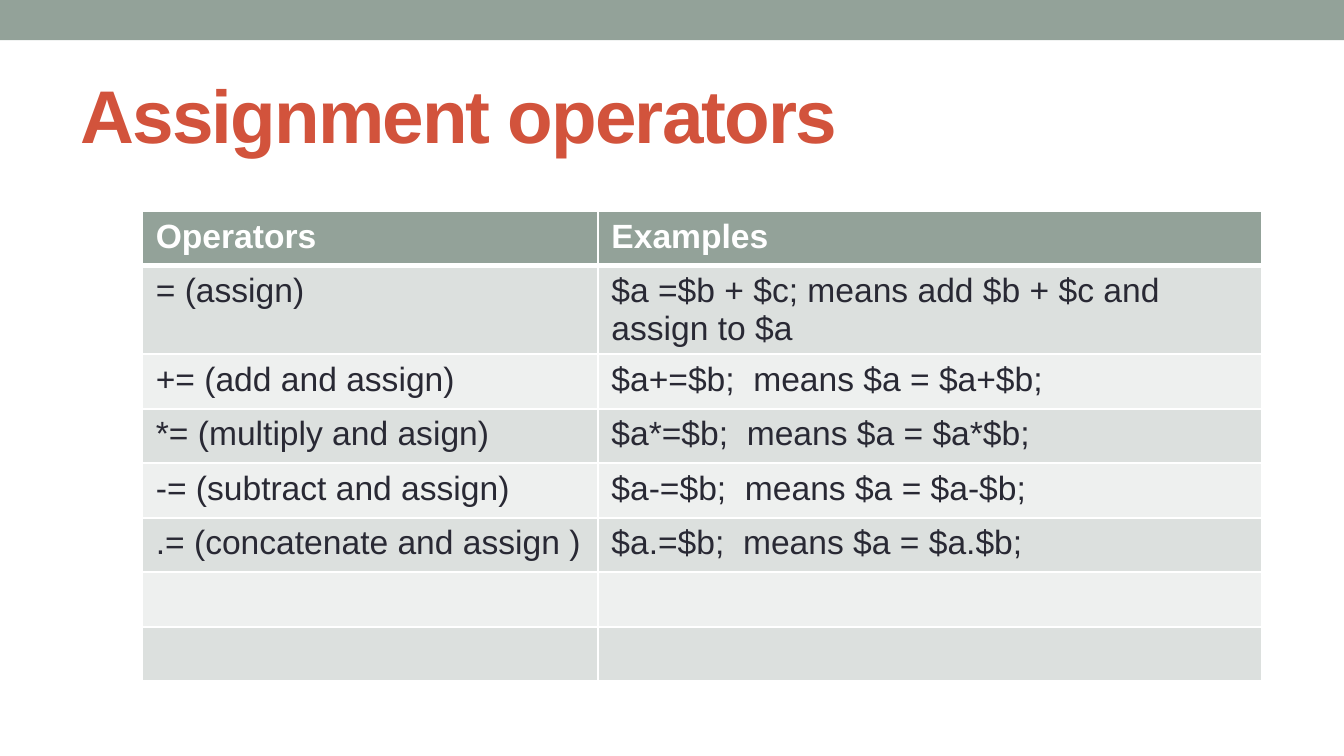
from lxml import etree
from pptx import Presentation
from pptx import util as u
from pptx.dml.color import RGBColor
from pptx.enum import shapes, text
from pptx.oxml.ns import qn

SAGE = RGBColor(0x93, 0xA2, 0x99)
BRICK = RGBColor(0xD2, 0x53, 0x3C)
INK = RGBColor(0x29, 0x29, 0x34)
WHITE = RGBColor(0xFF, 0xFF, 0xFF)
BANDS = [RGBColor(0xEE, 0xF0, 0xEF), RGBColor(0xDC, 0xE0, 0xDE)]

ROWS = [
    ("Operators", "Examples"),
    ("= (assign)", "$a =$b + $c; means add $b + $c and assign to $a"),
    ("+= (add and assign)", "$a+=$b;  means $a = $a+$b;"),
    ("*= (multiply and asign)", "$a*=$b;  means $a = $a*$b;"),
    ("-= (subtract and assign)", "$a-=$b;  means $a = $a-$b;"),
    (".= (concatenate and assign )", "$a.=$b;  means $a = $a.$b;"),
    ("", ""),
    ("", ""),
]
COLUMN_WIDTHS = [3.39, 4.94]
ROW_HEIGHT = u.Pt(29.2)


def style_span(span, size, color, bold):
    span.font.name = "Arial"
    span.font.size = u.Pt(size)
    span.font.color.rgb = color
    span.font.bold = bold


def add_border(cell, side, points):
    line = etree.SubElement(cell._tc.get_or_add_tcPr(), qn("a:ln" + side), w=str(u.Pt(points)))
    fill = etree.SubElement(line, qn("a:solidFill"))
    etree.SubElement(fill, qn("a:srgbClr"), val=str(WHITE))


# Widescreen page, 16 to 9
deck = Presentation()
deck.slide_width = u.Inches(10)
deck.slide_height = deck.slide_width * 9 // 16
page = deck.slides.add_slide(deck.slide_layouts.get_by_name("Title Only"))

# Top band, behind the title
band = page.shapes.add_shape(shapes.MSO_SHAPE.RECTANGLE, 0, 0, deck.slide_width, u.Inches(0.3))
band.shadow.inherit = False
band.fill.solid()
band.fill.fore_color.rgb = SAGE
band.line.fill.background()
page.shapes._spTree.insert(2, band._element)

# Title
title = page.shapes.title
title.left, title.top = u.Inches(0.5), u.Inches(0.44)
title.width, title.height = u.Inches(9), u.Inches(0.81)
title.text_frame.text = "Assignment operators"
title.text_frame.vertical_anchor = text.MSO_ANCHOR.MIDDLE
heading = title.text_frame.paragraphs[0]
heading.alignment = text.PP_ALIGN.LEFT
style_span(heading.runs[0], 40, BRICK, True)
heading.runs[0].font._element.set("spc", "-100")

# Operator table
table = page.shapes.add_table(
    len(ROWS), len(COLUMN_WIDTHS), u.Inches(1.06), u.Inches(1.57),
    u.Inches(sum(COLUMN_WIDTHS)), ROW_HEIGHT * len(ROWS)).table
for column, width in zip(table.columns, COLUMN_WIDTHS):
    column.width = u.Inches(width)
for r, words in enumerate(ROWS):
    header = r == 0
    # The first example wraps onto a second line
    table.rows[r].height = u.Inches(0.66) if r == 1 else ROW_HEIGHT
    for c, word in enumerate(words):
        cell = table.cell(r, c)
        for side in "LRTB":
            thick = (header and side == "B") or (r == 1 and side == "T")
            add_border(cell, side, 3 if thick else 1)
        cell.fill.solid()
        cell.fill.fore_color.rgb = SAGE if header else BANDS[r % 2]
        cell.text_frame.text = word
        for span in cell.text_frame.paragraphs[0].runs:
            style_span(span, 18, WHITE if header else INK, header)

deck.save("out.pptx")
